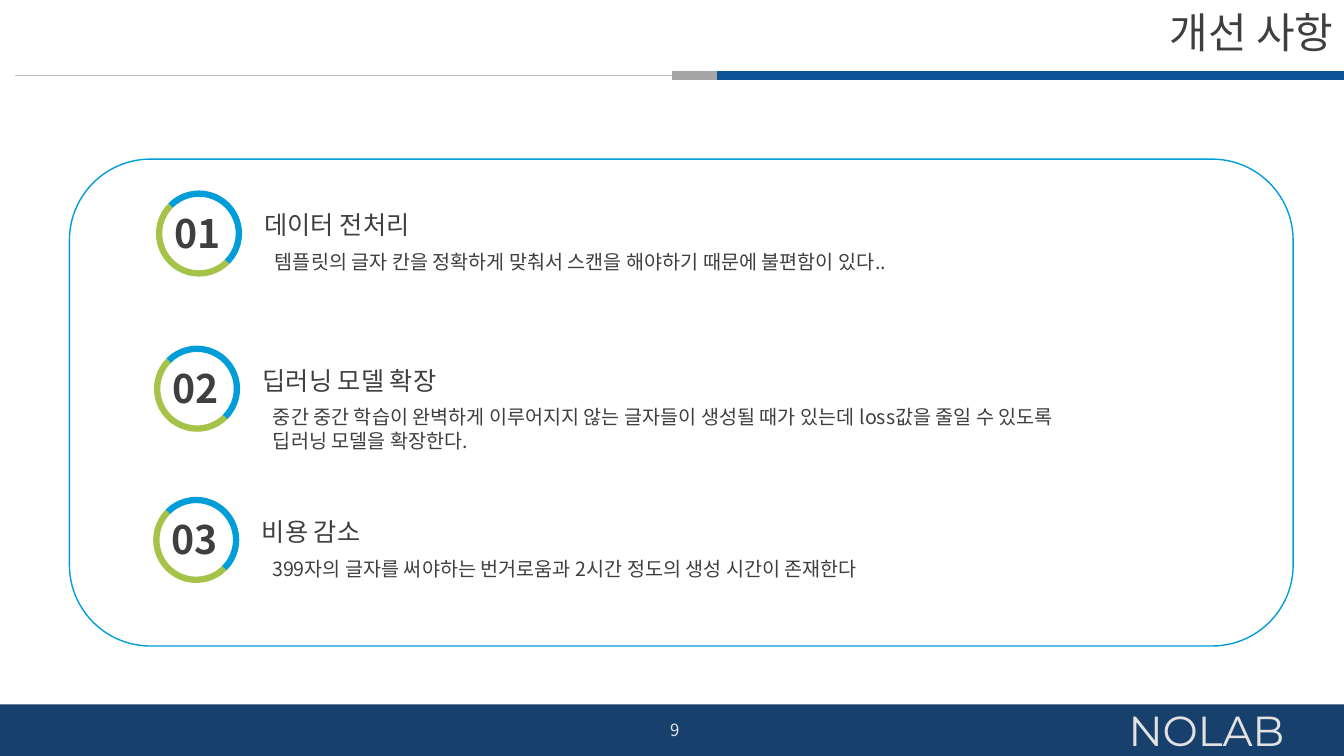
from lxml.etree import SubElement
from pptx import Presentation
from pptx.dml.color import RGBColor
from pptx.enum.shapes import MSO_CONNECTOR as Connector, MSO_SHAPE as Preset
from pptx.enum.text import MSO_ANCHOR as Anchor, MSO_AUTO_SIZE as Fit, PP_ALIGN as Align
from pptx.oxml.ns import qn
from pptx.util import Cm, Pt

SANS = "Noto Sans CJK KR"
DARK, PALE, NAVY, WHITE = "3F3F3F", "E2E2E2", "17406D", "FFFFFF"
BLUE, GREEN = "009DD9", "A5C249"
RULE_Y = 1.9
RULES = [
    (0.38, 25.27, "BFBFBF", 0.5),
    (17.96, 33.87, "0B5394", 6),
    (16.94, 18.08, "A6A6A6", 6),
]
RING_SIZE = 2.01
FOOTER_TOP, FOOTER_HEIGHT = 17.75, 1.3
ITEMS = [
    (4.01, 4.88, "데이터 전처리", 4.52,
     ["템플릿의 글자 칸을 정확하게 맞춰서 스캔을 해야하기 때문에 불편함이 있다.. "], 17.48),
    (3.96, 8.79, "딥러닝 모델 확장", 5.33,
     ["중간 중간 학습이 완벽하게 이루어지지 않는 글자들이 생성될 때가 있는데 loss값을 줄일 수 있도록",
      "딥러닝 모델을 확장한다."], 21.87),
    (3.94, 12.6, "비용 감소", 3.23,
     ["399자의 글자를 써야하는 번거로움과 2시간 정도의 생성 시간이 존재한다"], 16.71),
]


def color(value):
    return RGBColor.from_string(value)


def apply(target, formats):
    for name, value in formats.items():
        setattr(target, name, value)


def place(box, left, top, width, height):
    apply(box, {"left": Cm(left), "top": Cm(top), "width": Cm(width), "height": Cm(height)})


def write(box, lines, size, ink=DARK, face=SANS, bold=False, frame_format=None, para_format=None):
    frame = box.text_frame
    apply(frame, frame_format or {"word_wrap": False, "auto_size": Fit.SHAPE_TO_FIT_TEXT})
    for index, line in enumerate(lines):
        para = frame.add_paragraph() if index else frame.paragraphs[0]
        apply(para, para_format or {"alignment": Align.LEFT})
        span = para.add_run()
        span.text = line
        apply(span.font, {"size": Pt(size), "bold": bold, "name": face})
        span.font.color.rgb = color(ink)
        SubElement(span.font._element, qn("a:ea"), typeface=face)


def add_text(page, area, lines, size, **formats):
    box = page.shapes.add_textbox(*map(Cm, area))
    write(box, lines, size, **formats)


def add_shape(page, preset, area, fill=None, line=None, width=1):
    shape = page.shapes.add_shape(preset, *map(Cm, area))
    shape.shadow.inherit = False
    if fill:
        shape.fill.solid()
        shape.fill.fore_color.rgb = color(fill)
    else:
        shape.fill.background()
    if line:
        shape.line.color.rgb = color(line)
        shape.line.width = Pt(width)
    else:
        shape.line.fill.background()
    return shape


def add_rule(page, start, end, ink, width):
    rule = page.shapes.add_connector(Connector.STRAIGHT, Cm(start), Cm(RULE_Y), Cm(end), Cm(RULE_Y))
    rule.line.color.rgb = color(ink)
    rule.line.width = Pt(width)
    SubElement(rule._element.spPr, qn("a:effectLst"))


def add_ring(page, left, top):
    for ink, rotation in [(GREEN, 225), (BLUE, 45)]:
        arc = add_shape(page, Preset.ARC, (left, top, RING_SIZE, RING_SIZE), line=ink, width=4.5)
        arc.rotation = rotation
        arc.adjustments[0] = 107.81
        arc.adjustments[1] = 0


def add_item(page, number, left, top, heading, heading_width, details, detail_width):
    add_ring(page, left, top)
    add_text(page, (left + 0.13, top + 0.27, 1.73, 1.45), [f"{number:02}"], 28, bold=True)
    add_text(page, (left + 2.41, top + 0.28, heading_width, 1.02), [heading], 18)
    detail_height = 0.27 + 0.59 * len(details)
    add_text(page, (left + 2.67, top + 1.3, detail_width, detail_height), details, 14)


def add_footer(page):
    centred = {"word_wrap": True, "vertical_anchor": Anchor.MIDDLE}
    add_shape(page, Preset.RECTANGLE, (0, FOOTER_TOP, 33.87, FOOTER_HEIGHT), fill=NAVY)
    for left, width, text, size, face, side in [
        (26.95, 6.91, "NOLAB", 30, "Montserrat", Align.CENTER),
        (9.75, 7.62, "9", 12, SANS, Align.RIGHT),
    ]:
        add_text(page, (left, FOOTER_TOP, width, FOOTER_HEIGHT), [text], size, ink=PALE, face=face,
                 frame_format=centred, para_format={"alignment": side})


def add_title(page, text):
    title = page.shapes.title
    place(title, 4.65, 0, 29.21, 1.78)
    write(title, [text], 30,
          frame_format={"word_wrap": True, "auto_size": Fit.NONE, "vertical_anchor": Anchor.MIDDLE},
          para_format={"alignment": Align.RIGHT, "line_spacing": 0.9})


def main():
    deck = Presentation()
    apply(deck, {"slide_width": Cm(33.87), "slide_height": Cm(19.05)})
    page = deck.slides.add_slide(deck.slide_layouts[5])
    add_title(page, "개선 사항")
    for rule in RULES:
        add_rule(page, *rule)
    add_footer(page)
    add_shape(page, Preset.ROUNDED_RECTANGLE, (1.75, 4.01, 30.84, 12.27), fill=WHITE, line=BLUE)
    for number, item in enumerate(ITEMS, 1):
        add_item(page, number, *item)
    deck.save("out.pptx")


main()
